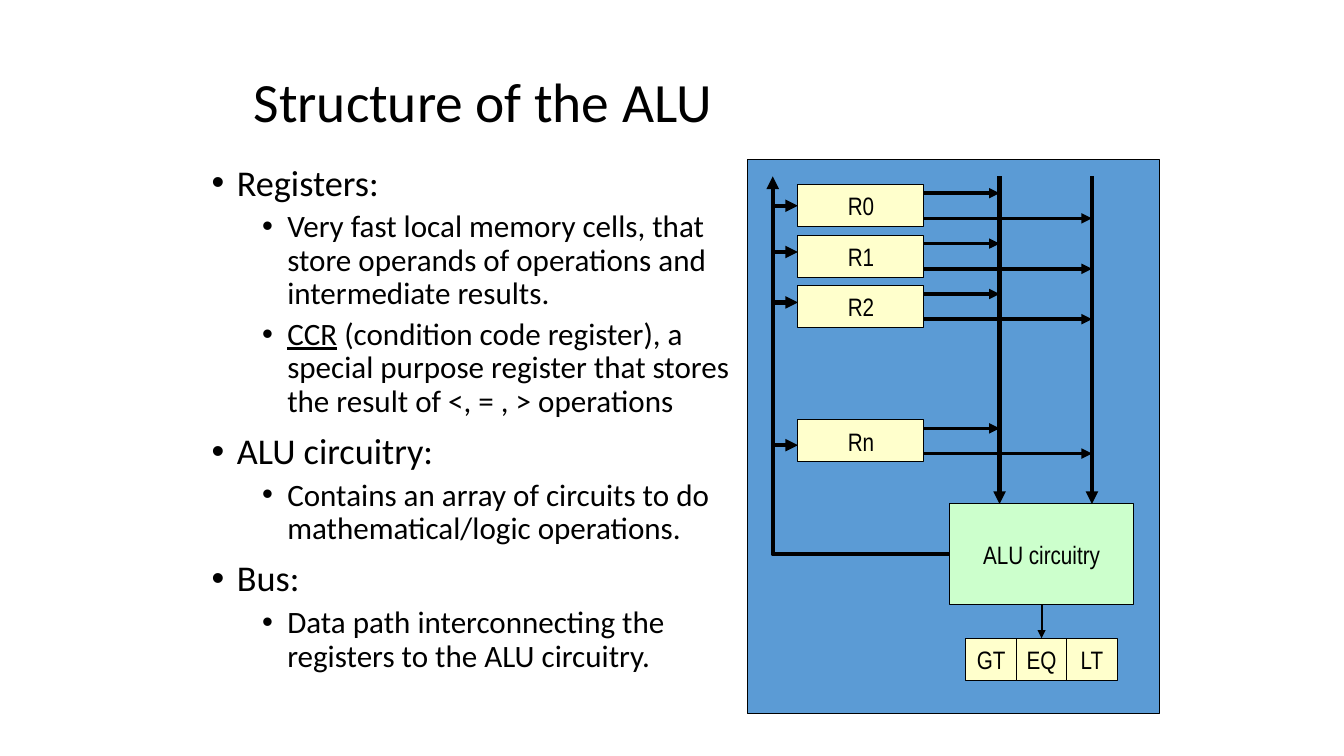
"""Build a slide that explains the structure of an ALU beside its block diagram."""
from lxml import etree
from pptx import Presentation
from pptx.dml.color import RGBColor
from pptx.enum import shapes, text
from pptx.oxml import ns
from pptx.util import Pt

TITLE = "Structure of the ALU"
BULLETS = [
    (0, [("Registers:", False)]),
    (1, [("Very fast local memory cells, that store operands of operations "
          "and intermediate results.", False)]),
    (1, [("CCR", True),
         (" (condition code register), a special purpose register that stores "
          "the result of <, = , > operations", False)]),
    (0, [("ALU circuitry:", False)]),
    (1, [("Contains an array of circuits to do mathematical/logic operations.", False)]),
    (0, [("Bus:", False)]),
    (1, [("Data path interconnecting the registers to the ALU circuitry.", False)]),
]
LEVELS = [(25.9, 10, 18), (22.2, 5, 54)]
REGISTERS = [("R0", 132), ("R1", 168), ("R2", 204), ("Rn", 300)]
FEEDS = [318, 180, 216]
FLAGS = ["GT", "EQ", "LT"]

BLACK, BLUE, GREEN, YELLOW = "000000", "5B9BD5", "CCFFCC", "FFFFCC"
ROW_H, REG_X, REG_W = 30, 570, 90
BUS_TOP, BUS_XS = 126, (714, 780)
RETURN_X = 552
ALU_X, ALU_Y, ALU_W, ALU_H = 678, 360, 132, 72
FLAG_X, FLAG_Y, FLAG_W = 690, 456, 36


def color(hex_value):
    return RGBColor.from_string(hex_value)


def add_span(para, words, size, font):
    span = para.add_run()
    span.text = words
    span.font.size = Pt(size)
    span.font.name = font
    span.font.color.rgb = color(BLACK)
    return span


def place(holder, left, top, width, height):
    holder.left, holder.top = Pt(left), Pt(top)
    holder.width, holder.height = Pt(width), Pt(height)
    holder.text_frame.auto_size = text.MSO_AUTO_SIZE.NONE
    holder.text_frame.word_wrap = True


def add_box(parent, left, top, width, height, fill, label=""):
    box = parent.add_shape(shapes.MSO_SHAPE.RECTANGLE,
                           Pt(left), Pt(top), Pt(width), Pt(height))
    box.shadow.inherit = False
    box.fill.solid()
    box.fill.fore_color.rgb = color(fill)
    box.line.color.rgb = color(BLACK)
    box.line.width = Pt(0.75)
    if label:
        frame = box.text_frame
        frame.word_wrap = False
        frame.vertical_anchor = text.MSO_ANCHOR.MIDDLE
        para = frame.paragraphs[0]
        para.alignment = text.PP_ALIGN.CENTER
        add_span(para, label, 18, "Arial Narrow")
    return box


def add_arrow(page, start, end, width, kind=shapes.MSO_CONNECTOR.STRAIGHT):
    arrow = page.shapes.add_connector(kind, *map(Pt, start + end))
    arrow.line.color.rgb = color(BLACK)
    arrow.line.width = Pt(width)
    etree.SubElement(arrow.line._get_or_add_ln(), ns.qn("a:tailEnd"), type="triangle")
    etree.SubElement(arrow._element.spPr, ns.qn("a:effectLst"))
    return arrow


def write_title(page):
    title = page.shapes.title
    place(title, 174, 48, 612, 54)
    title.text_frame.vertical_anchor = text.MSO_ANCHOR.MIDDLE
    para = title.text_frame.paragraphs[0]
    para.alignment = text.PP_ALIGN.LEFT
    para.line_spacing = 0.9
    add_span(para, TITLE, 39.6, "Calibri")


def write_bullets(page):
    body = page.placeholders[1]
    place(body, 144, 114, 390, 396)
    frame = body.text_frame
    for index, (level, spans) in enumerate(BULLETS):
        para = frame.add_paragraph() if index else frame.paragraphs[0]
        size, before, indent = LEVELS[level]
        para.level = level
        para.line_spacing = 0.9
        para.space_before = Pt(before)
        props = para._p.get_or_add_pPr()
        props.set("marL", str(Pt(indent)))
        props.set("indent", str(Pt(-18)))
        etree.SubElement(props, ns.qn("a:buFont"), typeface="Arial")
        etree.SubElement(props, ns.qn("a:buChar"), char="•")
        for words, underlined in spans:
            span = add_span(para, words, size, "Calibri")
            if underlined:
                span.font.underline = True


def draw_alu(page):
    add_box(page.shapes, 534, 114, 294, 396, BLUE)
    alu = add_box(page.shapes, ALU_X, ALU_Y, ALU_W, ALU_H, GREEN, "ALU circuitry")
    for bus_x in BUS_XS:
        add_arrow(page, (bus_x, BUS_TOP), (bus_x, ALU_Y), 3)
    for label, top in REGISTERS:
        for bus_x, drop in zip(BUS_XS, (6, 24)):
            add_arrow(page, (REG_X + REG_W - 12, top + drop), (bus_x, top + drop), 2.5)
        add_box(page.shapes, REG_X, top, REG_W, ROW_H, YELLOW, label)

    group = page.shapes.add_group_shape()
    flags = [add_box(group.shapes, FLAG_X + i * FLAG_W, FLAG_Y, FLAG_W, ROW_H, YELLOW, label)
             for i, label in enumerate(FLAGS)]
    middle = ALU_X + ALU_W / 2
    result = add_arrow(page, (middle, ALU_Y + ALU_H), (middle, FLAG_Y), 1.5)
    result.begin_connect(alu, 2)
    result.end_connect(flags[1], 0)


def draw_return_bus(page):
    first_y = REGISTERS[0][1] + ROW_H / 2
    bend = add_arrow(page, (ALU_X, ALU_Y + ALU_H / 2), (REG_X, first_y), 3,
                     shapes.MSO_CONNECTOR.ELBOW)
    ratio = round((ALU_X - RETURN_X) / (ALU_X - REG_X) * 100000)
    guides = bend._element.spPr.prstGeom.get_or_add_avLst()
    etree.SubElement(guides, ns.qn("a:gd"), name="adj1", fmla=f"val {ratio}")
    for feed_y in FEEDS:
        add_arrow(page, (RETURN_X, feed_y), (REG_X, feed_y), 3)
    add_arrow(page, (RETURN_X, 150), (RETURN_X, BUS_TOP), 3)


def main():
    deck = Presentation()
    deck.slide_width, deck.slide_height = Pt(960), Pt(540)
    page = deck.slides.add_slide(deck.slide_layouts[1])
    write_title(page)
    write_bullets(page)
    draw_alu(page)
    draw_return_bus(page)
    deck.save("out.pptx")


if __name__ == "__main__":
    main()
